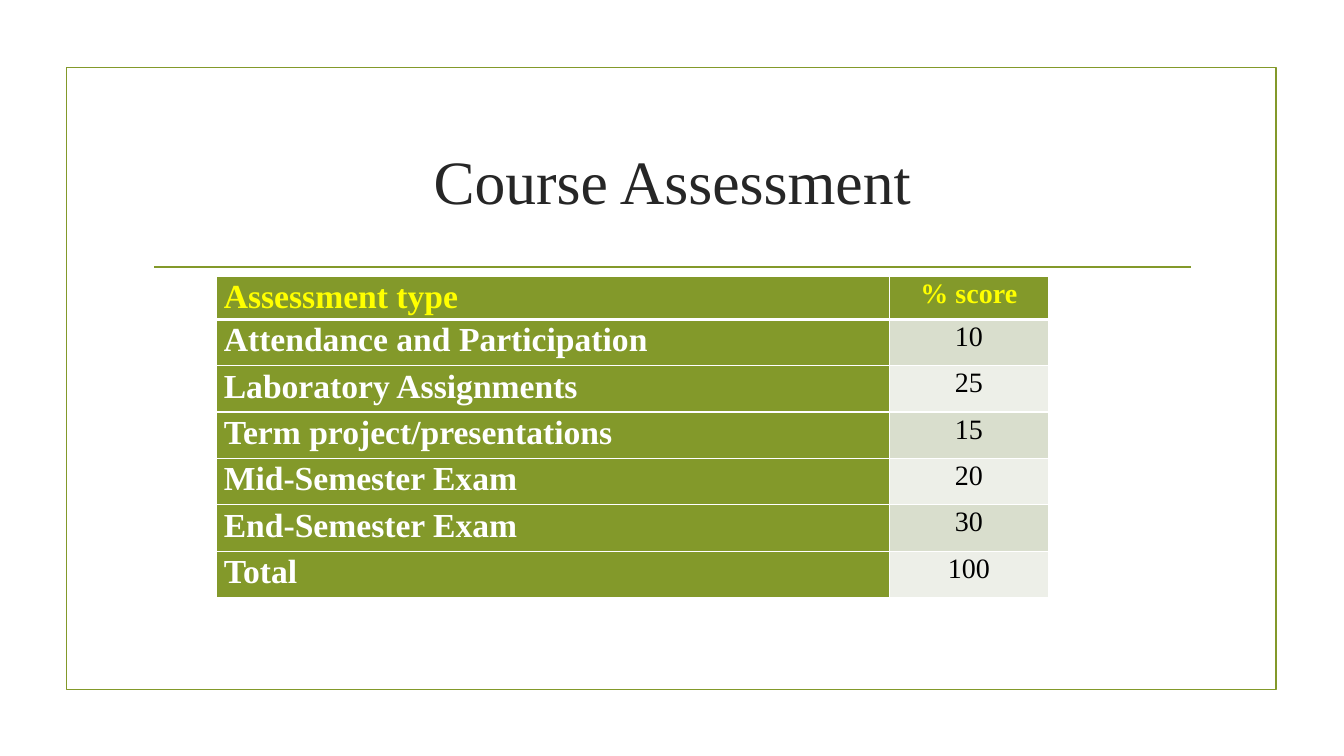
from lxml.etree import SubElement
from pptx import Presentation
from pptx.dml.color import RGBColor
from pptx.enum.shapes import MSO_CONNECTOR, MSO_SHAPE
from pptx.enum.text import MSO_ANCHOR, PP_ALIGN
from pptx.oxml import parse_xml
from pptx.oxml.ns import nsdecls, qn
from pptx.util import Pt

PX = 9144
GREEN = "83992A"
WHITE = "FFFFFF"
ROWS = [
    ("Assessment type", "% score"),
    ("Attendance and Participation", "10"),
    ("Laboratory Assignments", "25"),
    ("Term project/presentations", "15"),
    ("Mid-Semester Exam", "20"),
    ("End-Semester Exam", "30"),
    ("Total", "100"),
]


def color(code):
    return RGBColor.from_string(code)


def style(para, size, code, bold, align):
    para.alignment = align
    for run in para.runs:
        run.font.name = "Times New Roman"
        run.font.size = Pt(size)
        run.font.bold = bold
        run.font.color.rgb = color(code)


deck = Presentation()
deck.slide_width = 1333 * PX
deck.slide_height = 750 * PX
slide = deck.slides.add_slide(deck.slide_layouts[6])
shapes = slide.shapes

frame = shapes.add_shape(MSO_SHAPE.RECTANGLE, 66 * PX, 67 * PX, 1200 * PX, 617 * PX)
frame.shadow.inherit = False
frame.fill.background()
rule = shapes.add_connector(MSO_CONNECTOR.STRAIGHT, 153 * PX, 265 * PX, 1181 * PX, 265 * PX)
SubElement(rule._element.spPr, qn("a:effectLst"))
for item in (frame, rule):
    item.line.color.rgb = color(GREEN)
    item.line.width = Pt(1.25)

title = shapes.add_textbox(142 * PX, 107 * PX, 1050 * PX, 143 * PX).text_frame
title.word_wrap = True
title.vertical_anchor = MSO_ANCHOR.MIDDLE
title.text = "Course Assessment"
style(title.paragraphs[0], 44, "262626", False, PP_ALIGN.CENTER)

table = shapes.add_table(len(ROWS), 2, 215 * PX, 274 * PX, 825 * PX, 315 * PX).table
table.first_row = False
table.horz_banding = False
table.columns[0].width = 667 * PX
table.columns[1].width = 158 * PX

for r, texts in enumerate(ROWS):
    head = r == 0
    table.rows[r].height = (46 if r else 39) * PX
    band = "D9DECD" if r % 2 else "EDEFE8"
    for c, text in enumerate(texts):
        cell = table.cell(r, c)
        cell.margin_left = cell.margin_right = 7 * PX
        cell.margin_top = cell.margin_bottom = 0
        widths = {"L": 1, "R": 1, "T": 3 if r == 1 else 1, "B": 3 if head else 1}
        for side, width in widths.items():
            cell._tc.get_or_add_tcPr().append(parse_xml(
                f'<a:ln{side} {nsdecls("a")} w="{Pt(width)}"><a:solidFill>'
                f'<a:srgbClr val="{WHITE}"/></a:solidFill></a:ln{side}>'))
        cell.fill.solid()
        cell.fill.fore_color.rgb = color(band if c and not head else GREEN)
        cell.text_frame.text = text
        para = cell.text_frame.paragraphs[0]
        para.line_spacing = 1.07
        ink = "FFFF00" if head else "000000" if c else WHITE
        align = PP_ALIGN.CENTER if c else PP_ALIGN.LEFT
        style(para, 20 if c else 24, ink, head or c == 0, align)

deck.save("out.pptx")
